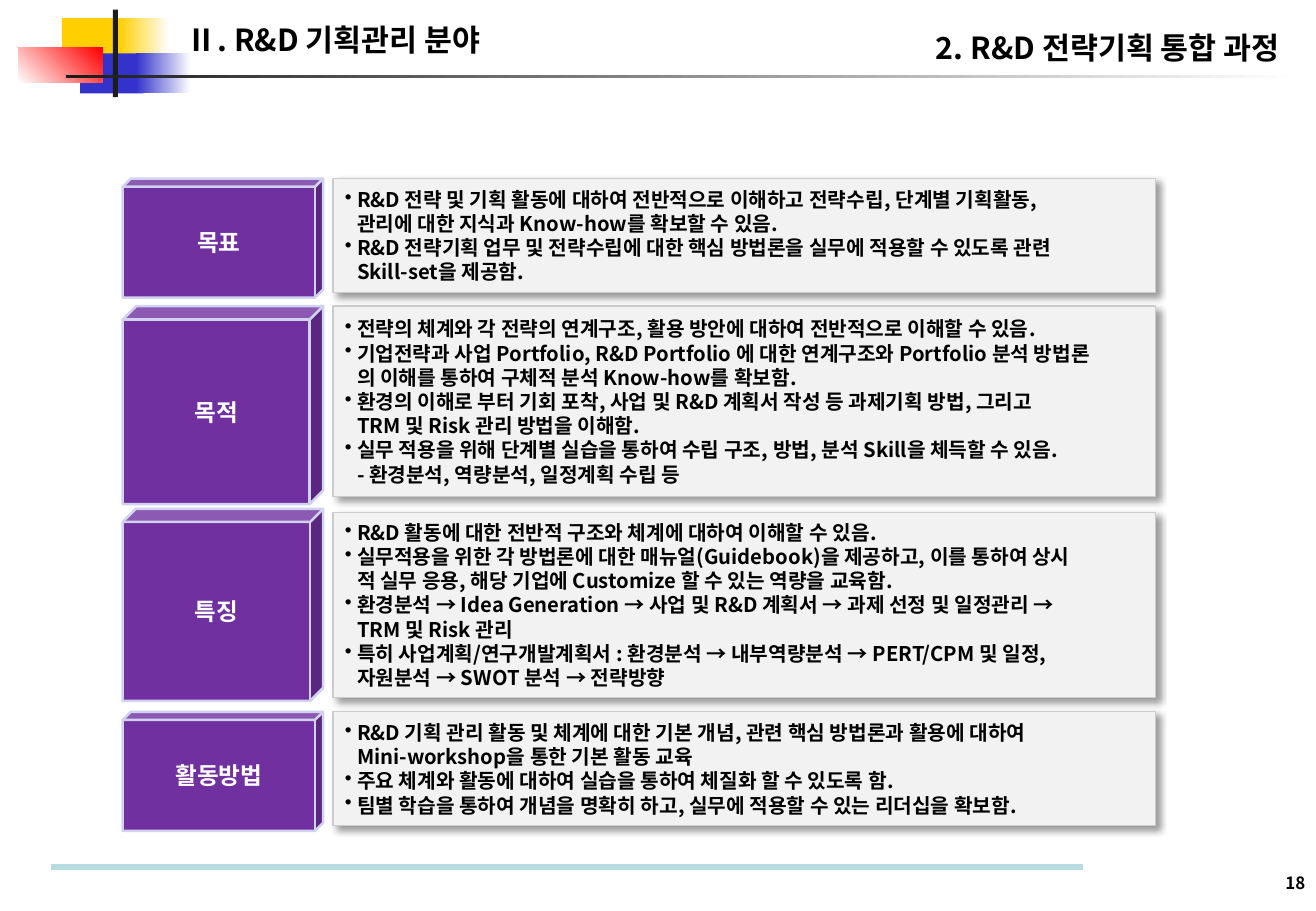
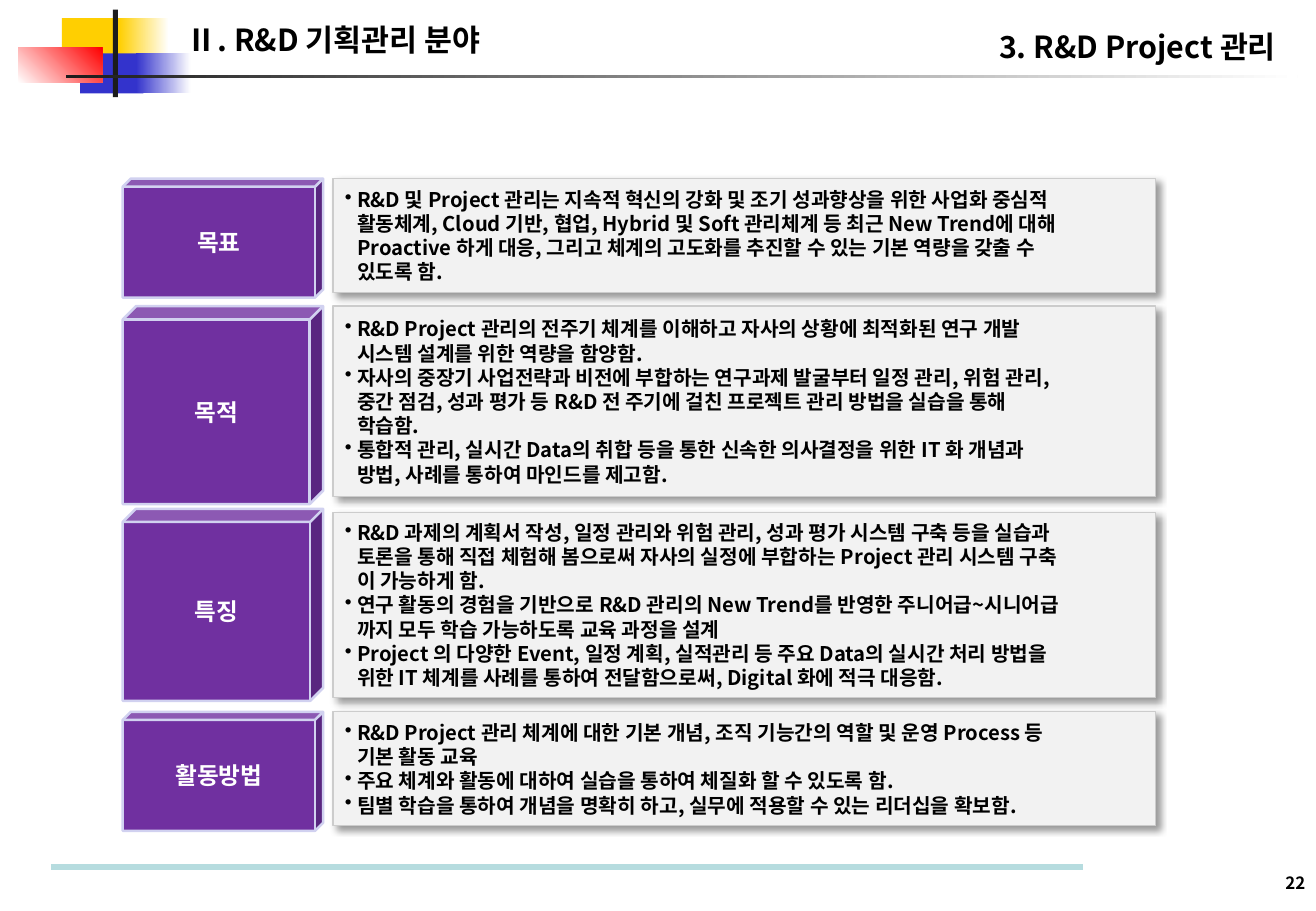
from dataclasses import dataclass
from typing import Optional

from lxml.etree import SubElement
from pptx import Presentation
from pptx.dml.color import RGBColor
from pptx.enum.shapes import MSO_CONNECTOR, MSO_SHAPE
from pptx.enum.text import MSO_ANCHOR, MSO_AUTO_SIZE, PP_ALIGN
from pptx.oxml.ns import qn
from pptx.util import Inches, Pt

FONT = "Noto Sans CJK KR"
COLORS = {
    "black": "000000", "white": "FFFFFF", "yellow": "FFCF01", "blue": "3333CC",
    "red": "FF0000", "ink": "1C1C1C", "footer": "B6DCDF", "purple": "7030A0",
    "lavender": "D1D1F0", "panel": "F2F2F2", "panel_edge": "CCCCCC",
}
LINE_HEIGHT = 1.195
LABEL_LEFT, LABEL_WIDTH = 1.01, 1.65
PANEL_LEFT, PANEL_WIDTH = 2.74, 6.77
FIRST_LAYOUT_ID = 100


@dataclass(frozen=True)
class Block:
    left: float
    top: float
    width: float
    height: float
    start: str
    end: Optional[str] = None
    angle: float = 0


@dataclass(frozen=True)
class Row:
    label: str
    label_top: float
    label_height: float
    panel_top: float
    panel_height: float


@dataclass(frozen=True)
class Course:
    title: str
    title_box: tuple[float, float, float, float]
    number: str
    panels: tuple[tuple[str, ...], ...]


EMBLEM = (
    Block(0.51, 0.15, 0.54, 0.33, "yellow"),
    Block(0.98, 0.15, 0.41, 0.33, "yellow", "white"),
    Block(0.66, 0.44, 0.52, 0.33, "blue"),
    Block(1.12, 0.44, 0.45, 0.33, "blue", "white"),
    Block(0.15, 0.39, 0.69, 0.29, "white", "red", 45),
    Block(0.93, 0.08, 0.04, 0.72, "ink"),
    Block(0.54, 0.62, 10.14, 0.02, "ink", "white"),
)
ROWS = (
    Row("목표", 1.47, 0.98, 1.47, 0.94),
    Row("목적", 2.52, 1.63, 2.52, 1.57),
    Row("특징", 4.19, 1.58, 4.22, 1.52),
    Row("활동방법", 5.86, 0.98, 5.86, 0.94),
)
COMMON_ACTIVITIES = (
    "주요 체계와 활동에 대하여 실습을 통하여 체질화 할 수 있도록 함.",
    "팀별 학습을 통하여 개념을 명확히 하고, 실무에 적용할 수 있는 리더십을 확보함.",
)
COURSES = (
    Course("2. R&D 전략기획 통합 과정", (7.27, 0.19, 3.36, 0.4), "18", (
        (
            "R&D 전략 및 기획 활동에 대하여 전반적으로 이해하고 전략수립, 단계별 기획활동,\n"
            "관리에 대한 지식과 Know-how를 확보할 수 있음.",
            "R&D 전략기획 업무 및 전략수립에 대한 핵심 방법론을 실무에 적용할 수 있도록 관련\n"
            "Skill-set을 제공함.",
        ),
        (
            "전략의 체계와 각 전략의 연계구조, 활용 방안에 대하여 전반적으로 이해할 수 있음.",
            "기업전략과 사업 Portfolio, R&D Portfolio 에 대한 연계구조와 Portfolio 분석 방법론\n"
            "의 이해를 통하여 구체적 분석 Know-how를 확보함.",
            "환경의 이해로 부터 기회 포착, 사업 및 R&D 계획서 작성 등 과제기획 방법, 그리고\n"
            "TRM 및 Risk 관리 방법을 이해함.",
            "실무 적용을 위해 단계별 실습을 통하여 수립 구조, 방법, 분석 Skill을 체득할 수 있음.\n"
            "- 환경분석, 역량분석, 일정계획 수립 등",
        ),
        (
            "R&D 활동에 대한 전반적 구조와 체계에 대하여 이해할 수 있음.",
            "실무적용을 위한 각 방법론에 대한 매뉴얼(Guidebook)을 제공하고, 이를 통하여 상시\n"
            "적 실무 응용, 해당 기업에 Customize 할 수 있는 역량을 교육함.",
            "환경분석 → Idea Generation → 사업 및 R&D 계획서 → 과제 선정 및 일정관리 →\n"
            "TRM 및 Risk 관리",
            "특히 사업계획/연구개발계획서 : 환경분석 → 내부역량분석 → PERT/CPM 및 일정,\n"
            "자원분석 → SWOT 분석 → 전략방향",
        ),
        (
            "R&D 기획 관리 활동 및 체계에 대한 기본 개념, 관련 핵심 방법론과 활용에 대하여\n"
            "Mini-workshop을 통한 기본 활동 교육",
            *COMMON_ACTIVITIES,
        ),
    )),
    Course("3. R&D Project 관리", (8.01, 0.18, 2.59, 0.4), "22", (
        (
            "R&D 및 Project 관리는 지속적 혁신의 강화 및 조기 성과향상을 위한 사업화 중심적\n"
            "활동체계, Cloud 기반, 협업, Hybrid 및 Soft 관리체계 등 최근 New Trend에 대해\n"
            "Proactive 하게 대응, 그리고 체계의 고도화를 추진할 수 있는 기본 역량을 갖출 수\n"
            "있도록 함.",
        ),
        (
            "R&D Project 관리의 전주기 체계를 이해하고 자사의 상황에 최적화된 연구 개발\n"
            "시스템 설계를 위한 역량을 함양함.",
            "자사의 중장기 사업전략과 비전에 부합하는 연구과제 발굴부터 일정 관리, 위험 관리,\n"
            "중간 점검, 성과 평가 등 R&D 전 주기에 걸친 프로젝트 관리 방법을 실습을 통해\n"
            "학습함.",
            "통합적 관리, 실시간 Data의 취합 등을 통한 신속한 의사결정을 위한 IT 화 개념과\n"
            "방법, 사례를 통하여 마인드를 제고함.",
        ),
        (
            "R&D 과제의 계획서 작성, 일정 관리와 위험 관리, 성과 평가 시스템 구축 등을 실습과\n"
            "토론을 통해 직접 체험해 봄으로써 자사의 실정에 부합하는 Project 관리 시스템 구축\n"
            "이 가능하게 함.",
            "연구 활동의 경험을 기반으로 R&D 관리의 New Trend를 반영한 주니어급~시니어급\n"
            "까지 모두 학습 가능하도록 교육 과정을 설계",
            "Project 의 다양한 Event, 일정 계획, 실적관리 등 주요 Data의 실시간 처리 방법을\n"
            "위한 IT 체계를 사례를 통하여 전달함으로써, Digital 화에 적극 대응함.",
        ),
        (
            "R&D Project 관리 체계에 대한 기본 개념, 조직 기능간의 역할 및 운영 Process 등\n"
            "기본 활동 교육",
            *COMMON_ACTIVITIES,
        ),
    )),
)


def rgb(name: str) -> RGBColor:
    return RGBColor.from_string(COLORS[name])


def box(left: float, top: float, width: float, height: float) -> tuple:
    return Inches(left), Inches(top), Inches(width), Inches(height)


def format_paragraph(paragraph, size: float, color: str, align) -> None:
    paragraph.alignment = align
    paragraph.line_spacing = Pt(size * LINE_HEIGHT)
    for run in paragraph.runs:
        run.font.size = Pt(size)
        run.font.bold = True
        run.font.color.rgb = rgb(color)
        run.font.name = FONT
        SubElement(run._r.get_or_add_rPr(), qn("a:ea"), typeface=FONT)


def write_line(shape, text: str, size: float, align, anchor=MSO_ANCHOR.TOP,
               color: str = "black") -> None:
    frame = shape.text_frame
    frame.text = text
    frame.word_wrap = False
    frame.auto_size = MSO_AUTO_SIZE.NONE
    frame.vertical_anchor = anchor
    format_paragraph(frame.paragraphs[0], size, color, align)


def add_solid(slide, preset, area: tuple, fill: str, edge: str, weight: float):
    shape = slide.shapes.add_shape(preset, *area)
    shape.shadow.inherit = False
    shape.fill.solid()
    shape.fill.fore_color.rgb = rgb(fill)
    shape.line.color.rgb = rgb(edge)
    shape.line.width = Pt(weight)
    return shape


def add_emblem_block(slide, block: Block):
    shape = slide.shapes.add_shape(
        MSO_SHAPE.RECTANGLE, *box(block.left, block.top, block.width, block.height))
    shape.shadow.inherit = False
    shape.line.fill.background()
    if block.end is None:
        shape.fill.solid()
        shape.fill.fore_color.rgb = rgb(block.start)
    else:
        shape.fill.gradient()
        shape.fill.gradient_angle = block.angle
        for stop, color in zip(shape.fill.gradient_stops, (block.start, block.end)):
            stop.color.rgb = rgb(color)
    return shape


def add_footer_rule(slide):
    rule = slide.shapes.add_connector(
        MSO_CONNECTOR.STRAIGHT, Inches(0.42), Inches(7.14), Inches(8.91), Inches(7.14))
    rule.line.color.rgb = rgb("footer")
    rule.line.width = Pt(3.5)
    SubElement(rule.element.spPr, qn("a:effectLst"))
    return rule


def decorate_layout(layout, slide) -> None:
    decorations = [add_emblem_block(slide, block) for block in EMBLEM]
    decorations.append(add_footer_rule(slide))
    for shape_id, decoration in enumerate(decorations, FIRST_LAYOUT_ID):
        decoration.element.xpath(".//p:cNvPr")[0].set("id", str(shape_id))
        layout.shapes.element.append(decoration.element)


def add_panel_shadow(panel) -> None:
    effects = panel.element.spPr.find(qn("a:effectLst"))
    shadow = SubElement(effects, qn("a:outerShdw"), blurRad=str(Pt(4)), dist=str(Pt(3)),
                        dir=str(45 * 60000), algn="tl", rotWithShape="0")
    tint = SubElement(shadow, qn("a:srgbClr"), val=COLORS["black"])
    SubElement(tint, qn("a:alpha"), val="40000")


def add_row(slide, row: Row, points: tuple[str, ...]) -> None:
    label = add_solid(slide, MSO_SHAPE.CUBE,
                      box(LABEL_LEFT, row.label_top, LABEL_WIDTH, row.label_height),
                      "purple", "lavender", 1.5)
    label.adjustments[0] = 0.068
    write_line(label, row.label, 14, PP_ALIGN.CENTER, MSO_ANCHOR.MIDDLE, "white")

    panel = add_solid(slide, MSO_SHAPE.RECTANGLE,
                      box(PANEL_LEFT, row.panel_top, PANEL_WIDTH, row.panel_height),
                      "panel", "panel_edge", 0.75)
    add_panel_shadow(panel)
    frame = panel.text_frame
    frame.word_wrap = True
    frame.margin_right = 0
    frame.vertical_anchor = MSO_ANCHOR.MIDDLE
    for index, point in enumerate(points):
        paragraph = frame.add_paragraph() if index else frame.paragraphs[0]
        paragraph.text = point
        properties = paragraph._p.get_or_add_pPr()
        properties.set("marL", str(Inches(0.1)))
        properties.set("indent", str(-Inches(0.1)))
        SubElement(properties, qn("a:buChar"), char="•")
        format_paragraph(paragraph, 12, "black", PP_ALIGN.LEFT)


def fill_slide(slide, course: Course) -> None:
    title = slide.shapes.title
    title.left, title.top, title.width, title.height = box(*course.title_box)
    write_line(title, course.title, 18, PP_ALIGN.RIGHT)
    number = slide.shapes.add_textbox(*box(10.45, 7.13, 0.39, 0.27))
    write_line(number, course.number, 10, PP_ALIGN.RIGHT, MSO_ANCHOR.MIDDLE)
    for row, points in zip(ROWS, course.panels):
        add_row(slide, row, points)
    section = slide.shapes.add_textbox(*box(1.44, 0.13, 2.87, 0.4))
    write_line(section, "Ⅱ. R&D 기획관리 분야", 18, PP_ALIGN.LEFT)


def main() -> None:
    deck = Presentation()
    deck.slide_width, deck.slide_height = Inches(10.83), Inches(7.5)
    layout = deck.slide_layouts[5]
    slides = [deck.slides.add_slide(layout) for _ in COURSES]
    decorate_layout(layout, slides[0])
    for slide, course in zip(slides, COURSES):
        fill_slide(slide, course)
    deck.save("out.pptx")


if __name__ == "__main__":
    main()
